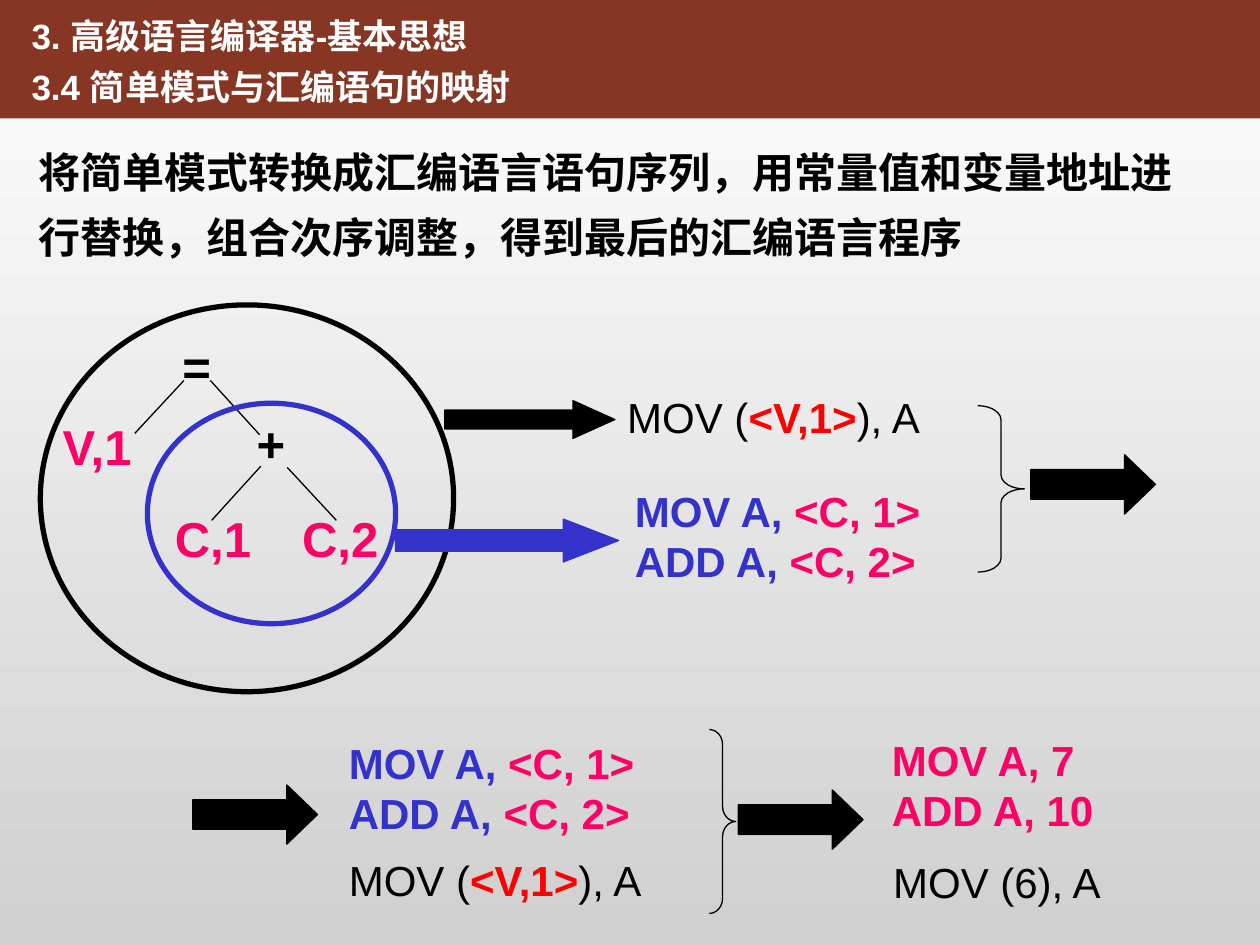
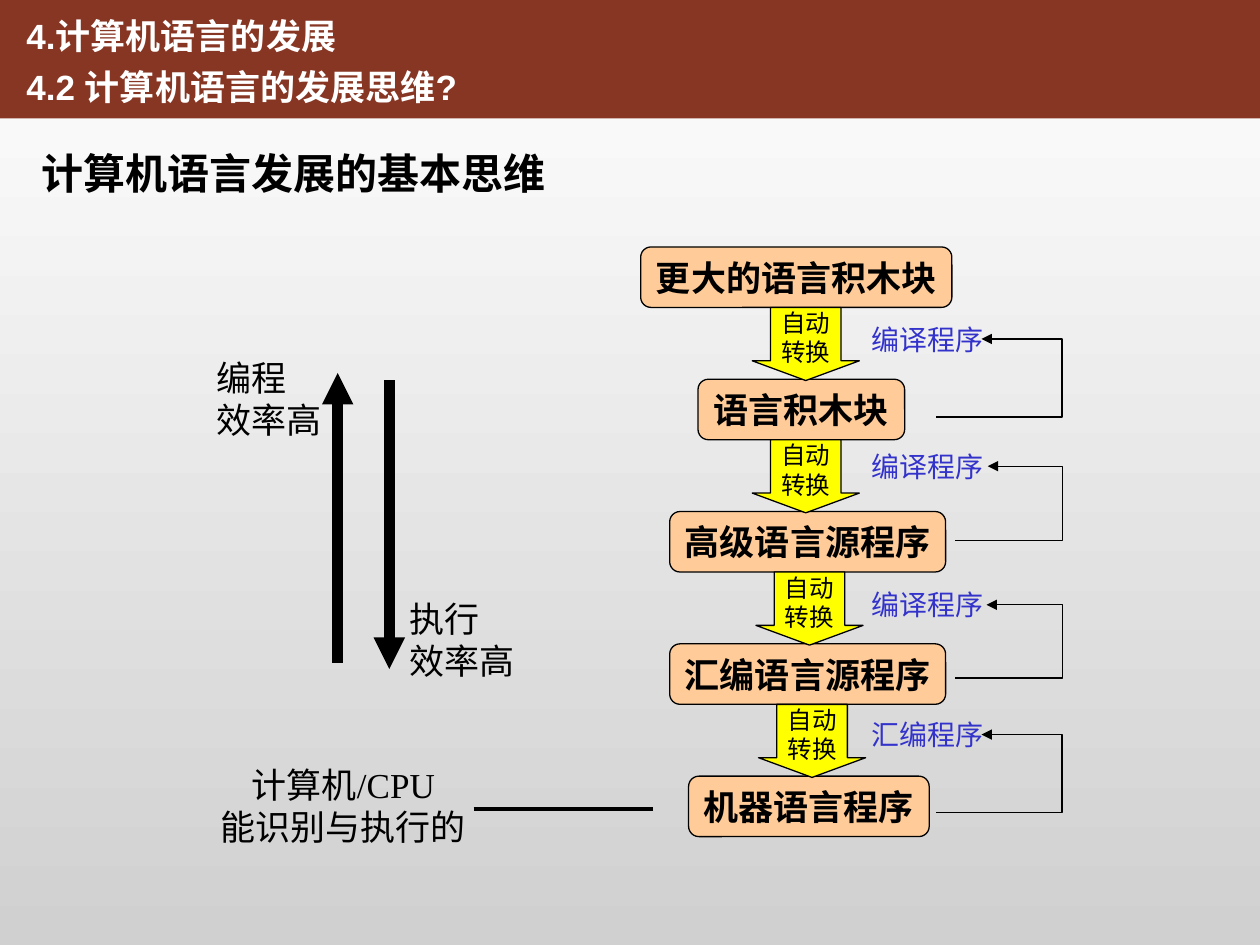
import pptx
import pptx.dml.color
import pptx.enum.shapes
import pptx.enum.text
import pptx.oxml.ns
import pptx.util
from dataclasses import dataclass
from lxml import etree

SHAPE = pptx.enum.shapes.MSO_SHAPE
ALIGN = pptx.enum.text.PP_ALIGN
ANCHOR = pptx.enum.text.MSO_ANCHOR
COLUMNS, ROWS = 10, 7.5  # grid cells are one inch square


@dataclass(frozen=True)
class Theme:
    band: str = "873624"
    back_top: str = "FFFFFF"
    back_bottom: str = "D0D0D0"
    white: str = "FFFFFF"
    ink: str = "000000"
    blue: str = "3333CC"
    pink: str = "FF0066"
    red: str = "FF0000"
    block: str = "FFCC99"
    convert: str = "FFFF00"
    sans: str = "Arial"
    serif: str = "Times New Roman"
    chinese: str = "Noto Sans CJK SC"
    node_size: int = 28
    lead_size: int = 24
    body_size: int = 20
    tool_size: int = 16
    convert_size: int = 14
    thin: float = 0.75
    medium: float = 2.25
    ring: float = 3
    thick: float = 6


THEME = Theme()

# A line of text is a list of spans: (text, colour, bold).
STORE = [[("MOV (", THEME.ink, False), ("<V,1>", THEME.red, True), ("), A", THEME.ink, False)]]
ADDITION = [[("MOV A,", THEME.blue, True), (" <C, 1>", THEME.pink, True)],
            [("ADD A,", THEME.blue, True), (" <C, 2>", THEME.pink, True)]]
ADDITION_RESULT = [[("MOV A, 7", THEME.pink, True)], [("ADD A, 10", THEME.pink, True)]]
STORE_RESULT = [[("MOV (6), A", THEME.ink, False)]]

MAPPING = {
    "title": ["3. 高级语言编译器-基本思想", "3.4 简单模式与汇编语句的映射"],
    "title_cells": (0.15, 0, 4.13, 0.9),
    "lead": "将简单模式转换成汇编语言语句序列，用常量值和变量地址进行替换，组合次序调整，得到最后的汇编语言程序",
    "lead_cells": (0.21, 0.99, 9.3, 1.14),
    "nodes": [("V,1", THEME.pink, (0.38, 3.26, 0.78, 0.57)),
              ("=", THEME.ink, (1.35, 2.62, 0.42, 0.57)),
              ("+", THEME.ink, (1.94, 3.23, 0.42, 0.57)),
              ("C,1", THEME.pink, (1.29, 3.99, 0.8, 0.57)),
              ("C,2", THEME.pink, (2.3, 3.99, 0.8, 0.57))],
    "branches": [(1.46, 3.02, 1.07, 3.44), (1.67, 3.02, 2.06, 3.45),
                 (2.07, 3.7, 1.68, 4.13), (2.28, 3.71, 2.67, 4.13)],
    "rings": [(THEME.blue, (1.17, 3.2, 1.97, 1.75)), (THEME.ink, (0.32, 2.42, 3.28, 3.07))],
    "arrows": [(THEME.blue, (3.14, 4.12, 1.77, 0.34), 1.29),
               (THEME.ink, (3.53, 3.18, 1.35, 0.3), 1.11)]
              + [(THEME.ink, (left, top, 0.99, 0.47), 0.52)
                 for left, top in ((8.18, 3.61), (1.53, 6.23), (5.86, 6.27))],
    "code": [(ADDITION, (4.94, 3.8, 2.53, 0.9)), (STORE, (4.88, 3.06, 2.66, 0.5)),
             (ADDITION, (2.67, 5.8, 2.53, 0.9)), (STORE, (2.67, 6.73, 2.66, 0.5)),
             (ADDITION_RESULT, (6.98, 5.78, 1.9, 0.9)),
             (STORE_RESULT, (6.99, 6.75, 1.96, 0.5))],
    "braces": [((5.63, 5.79, 0.21, 1.46), 0.57), ((7.76, 3.22, 0.37, 1.32), 0.3)],
}

EVOLUTION = {
    "title": ["4.计算机语言的发展", "4.2 计算机语言的发展思维?"],
    "title_cells": (0.11, 0, 3.83, 0.9),
    "lead": "计算机语言发展的基本思维",
    "lead_cells": (0.23, 1.12, 5.22, 0.5),
    # name, centre, width
    "levels": [("更大的语言积木块", 6.32, 2.47), ("语言积木块", 6.36, 1.64),
               ("高级语言源程序", 6.41, 2.19), ("汇编语言源程序", 6.41, 2.19),
               ("机器语言程序", 6.42, 1.91)],
    "convert": ["自动", "转换"],
    "convert_lefts": [5.97, 5.97, 6.0, 6.02],
    # tool, start column, start row, tip column, tip row
    "tools": [("编译程序", 7.43, 3.31, 7.79, 2.69), ("编译程序", 7.58, 4.29, 7.84, 3.7),
              ("编译程序", 7.58, 5.38, 7.83, 4.8), ("汇编程序", 7.43, 6.45, 7.79, 5.83)],
    "notes": [(["编程", "效率高"], ALIGN.LEFT, (1.62, 2.78, 1.03, 0.77)),
              (["执行", "效率高"], ALIGN.LEFT, (3.15, 4.69, 1.03, 0.77)),
              (["计算机/CPU", "能识别与执行的"], ALIGN.CENTER, (1.65, 6.01, 2.15, 0.77))],
    "trends": [(2.68, 5.26, 2.68, 2.96), (3.09, 3.02, 3.09, 5.31)],
    "machine_link": (3.76, 6.42, 5.18, 6.42),
}
LEVEL_TOP, LEVEL_PITCH, LEVEL_HEIGHT = 1.96, 1.05, 0.48
CONVERT_WIDTH, CONVERT_HEIGHT = 0.85, 0.58
TOOL_LEFT, TOOL_WIDTH, TOOL_HEIGHT, ELBOW_COLUMN = 6.82, 1.08, 0.37, 8.43


def grid(*cells):
    return [pptx.util.Inches(cell) for cell in cells]


def rgb(colour):
    return pptx.dml.color.RGBColor.from_string(colour)


def plain(texts, colour, bold=False):
    return [[(text, colour, bold)] for text in texts]


def write(box, lines, size, font, align=ALIGN.LEFT, anchor=ANCHOR.MIDDLE, spacing=1.0):
    """Fill a box; the far margin is dropped so that each line has room to spare."""
    frame = box.text_frame
    frame.word_wrap, frame.vertical_anchor = True, anchor
    frame.auto_size = pptx.enum.text.MSO_AUTO_SIZE.NONE
    frame.margin_right = 0
    if align == ALIGN.CENTER:
        frame.margin_left = 0
    for index, spans in enumerate(lines):
        para = frame.add_paragraph() if index else frame.paragraphs[0]
        para.alignment, para.line_spacing = align, spacing
        for text, colour, bold in spans:
            span = para.add_run()
            span.text = text
            span.font.size, span.font.name = pptx.util.Pt(size), font
            span.font.bold, span.font.color.rgb = bold, rgb(colour)
            east_asian = etree.SubElement(span.font._element, pptx.oxml.ns.qn("a:ea"))
            east_asian.set("typeface", THEME.chinese)


def add_text(page, cells, lines, size, font, **options):
    write(page.shapes.add_textbox(*grid(*cells)), lines, size, font, **options)


def stroke(item, colour, width):
    item.line.color.rgb, item.line.width = rgb(colour), pptx.util.Pt(width)


def add_figure(page, kind, cells, fill=None, line=THEME.ink, width=THEME.thin, adjust=()):
    figure = page.shapes.add_shape(kind, *grid(*cells))
    figure.shadow.inherit = False
    if fill:
        figure.fill.solid()
        figure.fill.fore_color.rgb = rgb(fill)
    else:
        figure.fill.background()
    stroke(figure, line, width)
    for index, value in enumerate(adjust):
        figure.adjustments[index] = value
    return figure


def point_end(item):
    """Put a triangular arrowhead where the line ends."""
    etree.SubElement(item.line._get_or_add_ln(), pptx.oxml.ns.qn("a:tailEnd"), type="triangle")


def add_line(page, ends, width=THEME.thin, arrow=False):
    line = page.shapes.add_connector(pptx.enum.shapes.MSO_CONNECTOR.STRAIGHT, *grid(*ends))
    stroke(line, THEME.ink, width)
    if arrow:
        point_end(line)
    etree.SubElement(line._element.spPr, pptx.oxml.ns.qn("a:effectLst"))


def add_elbow(page, start, start_row, tip, tip_row):
    outline = page.shapes.build_freeform(*grid(start, start_row))
    corners = [(ELBOW_COLUMN, start_row), (ELBOW_COLUMN, tip_row), (tip, tip_row)]
    outline.add_line_segments([grid(*corner) for corner in corners], close=False)
    elbow = outline.convert_to_shape()
    elbow.shadow.inherit = False
    elbow.fill.background()
    stroke(elbow, THEME.ink, THEME.thin)
    point_end(elbow)


def style_master(deck, page):
    """Give the master its gradient and title band; the band is drawn on page and moved."""
    fill = deck.slide_master.background.fill
    fill.gradient()
    fill.gradient_angle = 270
    for stop, colour in zip(fill.gradient_stops, (THEME.back_top, THEME.back_bottom)):
        stop.color.rgb = rgb(colour)
    band = add_figure(page, SHAPE.RECTANGLE, (0, 0, COLUMNS, 0.94), fill=THEME.band)
    band.line.fill.background()
    deck.slide_master.shapes._spTree.insert(2, band._element)


def add_page(deck, content, lead_font, lead_spacing):
    page = deck.slides.add_slide(deck.slide_layouts[5])
    title = page.shapes.title
    title.left, title.top, title.width, title.height = grid(*content["title_cells"])
    write(title, plain(content["title"], THEME.white, True), THEME.body_size, THEME.sans,
          anchor=ANCHOR.TOP, spacing=1.2)
    add_text(page, content["lead_cells"], plain([content["lead"]], THEME.ink, True),
             THEME.lead_size, lead_font, anchor=ANCHOR.TOP, spacing=lead_spacing)
    return page


def draw_mapping(page, content):
    for name, colour, cells in content["nodes"]:
        add_text(page, cells, plain([name], colour, True), THEME.node_size, THEME.sans,
                 align=ALIGN.CENTER, anchor=ANCHOR.TOP)
    for ends in content["branches"]:
        add_line(page, ends)
    for colour, cells in content["rings"]:
        add_figure(page, SHAPE.OVAL, cells, line=colour, width=THEME.ring)
    for colour, cells, head in content["arrows"]:
        add_figure(page, SHAPE.RIGHT_ARROW, cells, fill=colour, line=colour, adjust=(0.5, head))
    for lines, cells in content["code"]:
        add_text(page, cells, lines, THEME.lead_size, THEME.sans)
    for cells, curve in content["braces"]:
        add_figure(page, SHAPE.RIGHT_BRACE, cells, adjust=(curve, 0.5))


def draw_evolution(page, content):
    for index, (name, centre, width) in enumerate(content["levels"]):
        cells = (centre - width / 2, LEVEL_TOP + index * LEVEL_PITCH, width, LEVEL_HEIGHT)
        level = add_figure(page, SHAPE.ROUNDED_RECTANGLE, cells, fill=THEME.block, adjust=(0.17,))
        write(level, plain([name], THEME.ink, True), THEME.body_size, THEME.serif,
              align=ALIGN.CENTER)
    for index, left in enumerate(content["convert_lefts"]):
        top = LEVEL_TOP + index * LEVEL_PITCH + LEVEL_HEIGHT
        arrow = add_figure(page, SHAPE.DOWN_ARROW, (left, top, CONVERT_WIDTH, CONVERT_HEIGHT),
                           fill=THEME.convert, adjust=(0.66, 0.27))
        write(arrow, plain(content["convert"], THEME.ink), THEME.convert_size, THEME.sans,
              align=ALIGN.CENTER)
    for name, *elbow in content["tools"]:
        cells = (TOOL_LEFT, elbow[-1] - TOOL_HEIGHT / 2, TOOL_WIDTH, TOOL_HEIGHT)
        add_text(page, cells, plain([name], THEME.blue), THEME.tool_size, THEME.chinese,
                 align=ALIGN.CENTER)
        add_elbow(page, *elbow)
    for texts, align, cells in content["notes"]:
        add_text(page, cells, plain(texts, THEME.ink), THEME.body_size, THEME.serif, align=align)
    for ends in content["trends"]:
        add_line(page, ends, THEME.thick, arrow=True)
    add_line(page, content["machine_link"], THEME.medium)


def main():
    deck = pptx.Presentation()
    deck.slide_width, deck.slide_height = grid(COLUMNS, ROWS)
    mapping = add_page(deck, MAPPING, THEME.serif, 1.3)
    style_master(deck, mapping)
    draw_mapping(mapping, MAPPING)
    draw_evolution(add_page(deck, EVOLUTION, THEME.sans, 1.0), EVOLUTION)
    deck.save("out.pptx")


if __name__ == "__main__":
    main()
